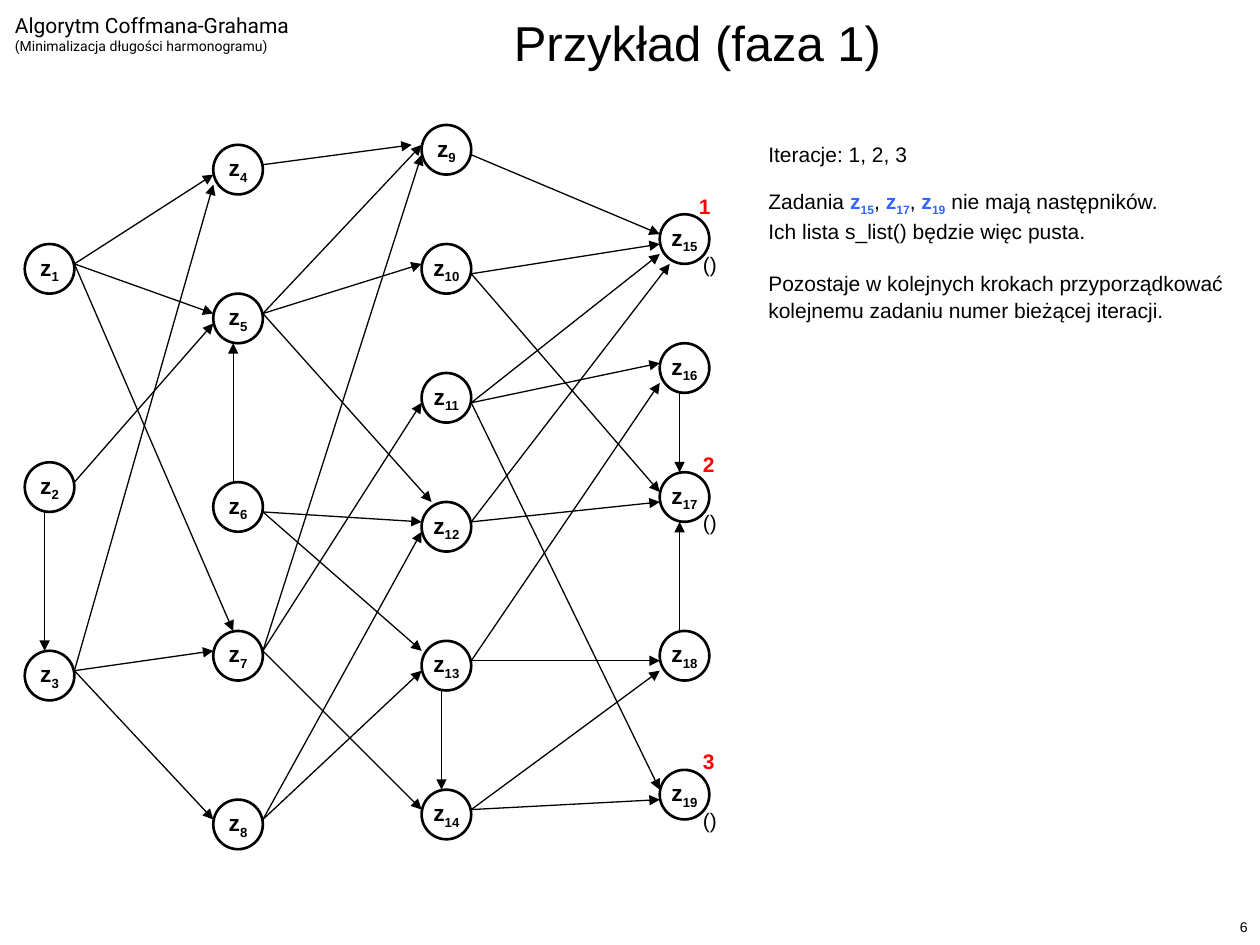
from dataclasses import dataclass

import pptx
import pptx.dml.color
import pptx.enum.shapes
import pptx.enum.text
import pptx.oxml.ns
import pptx.util
from lxml import etree
from pptx.util import Cm

COLORS = {"black": "000000", "white": "FFFFFF", "red": "FF0000", "blue": "3366FF"}
DIAMETER = 1.0
ALIGN = pptx.enum.text.PP_ALIGN


@dataclass
class Task:
    number: int
    left: float
    top: float
    exit: float = 0.4  # height below the top where arrows leave


@dataclass
class Edge:
    """Arrow between tasks; offsets are measured from the target's top left corner."""
    source: int
    target: int
    down: float
    right: float = 0.0


@dataclass
class Iteration:
    number: int
    task: int
    left: float


COLUMNS = {
    0.5: [Task(1, 0.5, 4.92), Task(2, 0.5, 9.32), Task(3, 0.5, 13.12)],
}
COLUMN_LEFTS = (0.5, 4.3, 8.5, 13.3)
COLUMN_TOPS = (
    (4.92, 9.32, 13.12),
    (2.92, 5.92, 9.72, 12.72, 16.12),
    (2.52, 4.92, 7.52, 10.12, 12.92, 15.92),
    (4.32, 6.92, 9.52, 12.72, 15.52),
)
LOW_EXITS = (6, 9, 10, 11)

EDGES = [
    Edge(1, 4, 0.6), Edge(1, 5, 0.4), Edge(1, 7, 0, 0.4), Edge(2, 5, 0.6),
    Edge(3, 4, 0.8), Edge(3, 7, 0.4), Edge(3, 8, 0.4),
    Edge(4, 9, 0.4, -0.2), Edge(5, 9, 0.4), Edge(5, 10, 0.4), Edge(5, 12, 0, 0.2),
    Edge(6, 12, 0.4), Edge(6, 13, 0.2), Edge(7, 9, 0.6), Edge(7, 11, 0.6),
    Edge(7, 14, 0.4), Edge(8, 12, 0.6), Edge(8, 13, 0.6),
    Edge(9, 15, 0.4), Edge(10, 15, 0.6), Edge(10, 17, 0.4), Edge(11, 15, 0.8),
    Edge(11, 16, 0.4), Edge(11, 19, 0.4), Edge(12, 15, 1, 0.2), Edge(12, 17, 0.6),
    Edge(13, 16, 0.8), Edge(13, 18, 0.6), Edge(14, 18, 0.8), Edge(14, 19, 0.6),
]
VERTICAL_EDGES = [(2, 3), (6, 5), (13, 14), (16, 17), (18, 17)]
ITERATIONS = [Iteration(1, 15, 13.84), Iteration(2, 17, 13.92), Iteration(3, 19, 13.92)]


def make_tasks() -> dict[int, Task]:
    """Number the tasks column by column, from top to bottom."""
    places = [(left, top) for left, tops in zip(COLUMN_LEFTS, COLUMN_TOPS) for top in tops]
    return {number: Task(number, left, top, 0.6 if number in LOW_EXITS else 0.4)
            for number, (left, top) in enumerate(places, start=1)}


def rgb(name: str) -> pptx.dml.color.RGBColor:
    return pptx.dml.color.RGBColor.from_string(COLORS[name])


def format_run(run, size: float, color: str = "black", bold: bool = False,
               font: str = "Arial") -> None:
    run.font.size = pptx.util.Pt(size)
    run.font.name = font
    run.font.bold = bold
    run.font.color.rgb = rgb(color)


def add_run(paragraph, text: str, size: float, color: str = "black", bold: bool = False):
    run = paragraph.add_run()
    run.text = text
    format_run(run, size, color, bold)
    return run


def add_task_name(paragraph, number: int, size: float, color: str) -> None:
    """Append a bold z with the task number as its subscript."""
    add_run(paragraph, "z", size, color, True)
    subscript = add_run(paragraph, str(number), size, color, True)
    subscript.font._element.set("baseline", "-25000")


def add_text(slide, left: float, top: float, width: float, height: float, text: str,
             size: float, color: str = "black", bold: bool = False, font: str = "Arial",
             wrap: bool = False, align=ALIGN.LEFT):
    shape = slide.shapes.add_textbox(Cm(left), Cm(top), Cm(width), Cm(height))
    text_frame = shape.text_frame
    text_frame.text = text
    text_frame.word_wrap = wrap
    for paragraph in text_frame.paragraphs:
        paragraph.alignment = align
        for run in paragraph.runs:
            format_run(run, size, color, bold, font)
    return text_frame


def draw_task(slide, task: Task) -> None:
    shape = slide.shapes.add_shape(pptx.enum.shapes.MSO_SHAPE.OVAL, Cm(task.left),
                                   Cm(task.top), Cm(DIAMETER), Cm(DIAMETER))
    shape.shadow.inherit = False
    shape.fill.solid()
    shape.fill.fore_color.rgb = rgb("white")
    shape.line.color.rgb = rgb("black")
    shape.line.width = pptx.util.Pt(1.5)
    shape.text_frame.word_wrap = False
    shape.text_frame.vertical_anchor = pptx.enum.text.MSO_ANCHOR.MIDDLE
    paragraph = shape.text_frame.paragraphs[0]
    paragraph.alignment = ALIGN.CENTER
    add_task_name(paragraph, task.number, 13, "black")


def draw_arrow(slide, start: tuple[float, float], end: tuple[float, float]) -> None:
    connector = slide.shapes.add_connector(pptx.enum.shapes.MSO_CONNECTOR.STRAIGHT,
                                           *map(Cm, start + end))
    connector.line.color.rgb = rgb("black")
    connector.line.width = pptx.util.Pt(0.75)
    qn = pptx.oxml.ns.qn
    etree.SubElement(connector.line._get_or_add_ln(), qn("a:tailEnd"), type="triangle")
    etree.SubElement(connector._element.spPr, qn("a:effectLst"))


def draw_edges(slide, tasks: dict[int, Task]) -> None:
    for edge in EDGES:
        source, target = tasks[edge.source], tasks[edge.target]
        draw_arrow(slide, (source.left + DIAMETER, source.top + source.exit),
                   (target.left + edge.right, target.top + edge.down))
    for source, target in ((tasks[a], tasks[b]) for a, b in VERTICAL_EDGES):
        upper, lower = sorted((source, target), key=lambda task: task.top)
        x = source.left + 0.4
        ends = [(x, upper.top + DIAMETER), (x, lower.top)]
        draw_arrow(slide, *(ends if source is upper else reversed(ends)))


def draw_explanation(slide) -> None:
    lines = ["Iteracje: 1, 2, 3", "Zadania ", "Ich lista s_list() będzie więc pusta.",
             "Pozostaje w kolejnych krokach przyporządkować",
             "kolejnemu zadaniu numer bieżącej iteracji."]
    text_frame = add_text(slide, 15.24, 2.73, 9.68, 3.81, "\n".join(lines), 12)
    for paragraph, space in zip(text_frame.paragraphs, (0, 12.5, 1, 14.8, 1)):
        paragraph.space_before = pptx.util.Pt(space)
    paragraph = text_frame.paragraphs[1]
    for iteration, ending in zip(ITERATIONS, (", ", ", ", " nie mają następników.")):
        add_task_name(paragraph, iteration.task, 12, "blue")
        add_run(paragraph, ending, 12)


def main() -> None:
    presentation = pptx.Presentation()
    presentation.slide_width, presentation.slide_height = Cm(25.4), Cm(19.05)
    slide = presentation.slides.add_slide(presentation.slide_layouts[6])

    header = add_text(slide, 0.05, 0.13, 7.44, 1.12,
                      "Algorytm Coffmana-Grahama\n(Minimalizacja długości harmonogramu)",
                      12, font="Roboto", wrap=True)
    header.paragraphs[1].runs[0].font.size = pptx.util.Pt(8)
    add_text(slide, 10.11, 0.13, 7.9, 1.45, "Przykład (faza 1)", 28)
    draw_explanation(slide)

    tasks = make_tasks()
    for task in tasks.values():
        draw_task(slide, task)
    draw_edges(slide, tasks)
    for iteration in ITERATIONS:
        top = tasks[iteration.task].top
        add_text(slide, 13.92, top + 0.63, 0.79, 0.76, "()", 12)
        add_text(slide, iteration.left, top - 0.55, 0.74, 0.76, str(iteration.number),
                 12, "red", True)
    add_text(slide, 19.48, 18.39, 5.92, 0.66, "6", 8, wrap=True, align=ALIGN.RIGHT)
    presentation.save("out.pptx")


if __name__ == "__main__":
    main()
